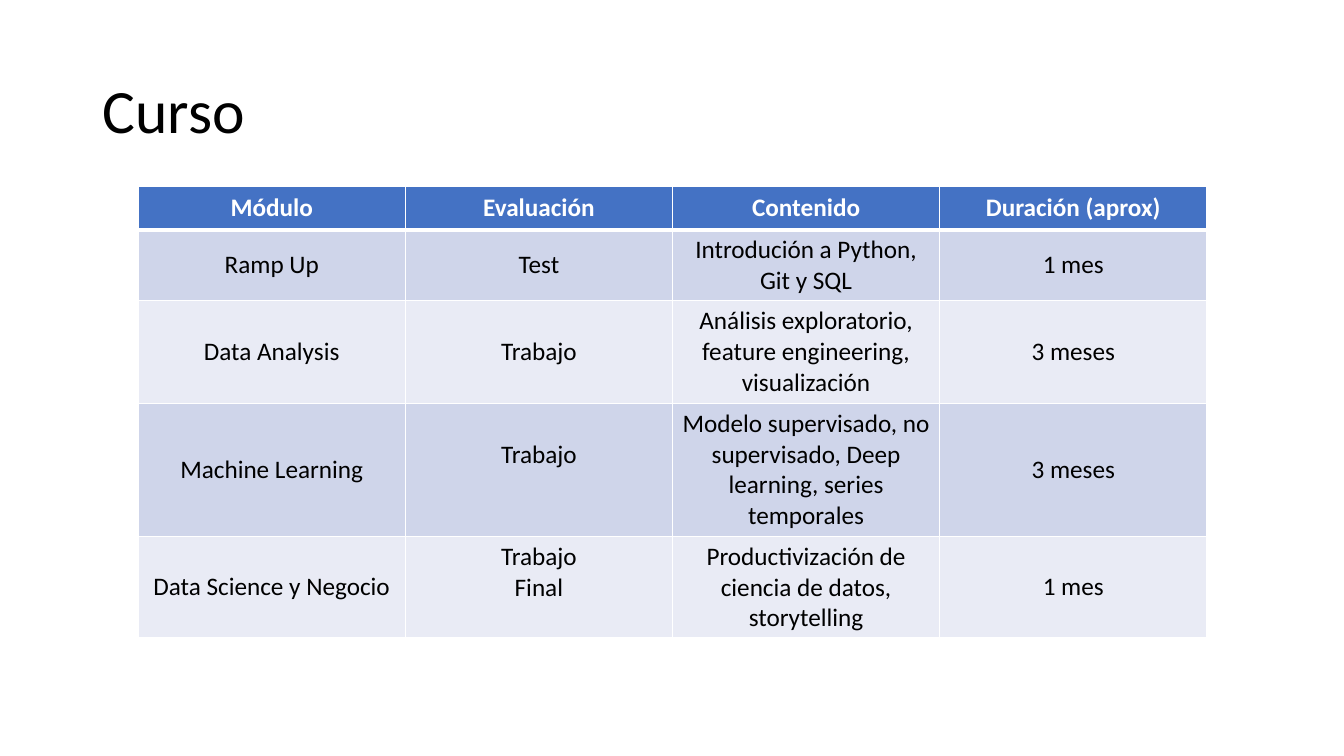
from dataclasses import dataclass

import pptx
import pptx.dml.color
import pptx.enum.text
import pptx.oxml
import pptx.oxml.ns
import pptx.util
from pptx.util import Inches


@dataclass(frozen=True)
class Theme:
    font: str = "Calibri"
    title_size: int = 44
    table_size: int = 18
    text: str = "000000"
    header_text: str = "FFFFFF"
    header_fill: str = "4472C4"
    band_fills: tuple = ("CFD5EA", "E9EBF5")
    border: str = "FFFFFF"
    border_width: int = 1
    header_border_width: int = 3


THEME = Theme()
ROWS = [
    ["Módulo", "Evaluación", "Contenido", "Duración (aprox)"],
    ["Ramp Up", "Test", "Introdución a Python, Git y SQL", "1 mes"],
    ["Data Analysis", "Trabajo",
     "Análisis exploratorio, feature engineering, visualización", "3 meses"],
    ["Machine Learning", "Trabajo",
     "Modelo supervisado, no supervisado, Deep learning, series temporales", "3 meses"],
    ["Data Science y Negocio", "Trabajo\nFinal",
     "Productivización de ciencia de datos, storytelling", "1 mes"],
]
ROW_HEIGHTS = [0.43, 0.7, 1.02, 1.32, 1.01]
RAISED_CELLS = {(3, 1), (4, 1)}
RAISED_MARGIN = 0.35


def style_font(font, size, color, bold=False):
    font.name = THEME.font
    font.size = pptx.util.Pt(size)
    font.bold = bold
    font.color.rgb = pptx.dml.color.RGBColor.from_string(color)


def add_borders(cell, top, bottom):
    properties = cell._tc.get_or_add_tcPr()
    widths = {"L": THEME.border_width, "R": THEME.border_width, "T": top, "B": bottom}
    for side, width in widths.items():
        properties.append(pptx.oxml.parse_xml(
            f'<a:ln{side} {pptx.oxml.ns.nsdecls("a")} w="{pptx.util.Pt(width)}">'
            f'<a:solidFill><a:srgbClr val="{THEME.border}"/></a:solidFill></a:ln{side}>'))


def add_title(slide, left, top, width, height):
    box = slide.shapes.add_textbox(Inches(left), Inches(top), Inches(width), Inches(height))
    frame = box.text_frame
    frame.word_wrap = True
    frame.vertical_anchor = pptx.enum.text.MSO_ANCHOR.MIDDLE
    frame.text = "Curso"
    paragraph = frame.paragraphs[0]
    paragraph.line_spacing = 0.9
    style_font(paragraph.runs[0].font, THEME.title_size, THEME.text)


def fill_cell(cell, text, row_index):
    is_header = row_index == 0
    thin, thick = THEME.border_width, THEME.header_border_width
    add_borders(cell, thick if row_index == 1 else thin, thick if is_header else thin)
    fill = THEME.header_fill if is_header else THEME.band_fills[(row_index - 1) % 2]
    cell.fill.solid()
    cell.fill.fore_color.rgb = pptx.dml.color.RGBColor.from_string(fill)
    cell.vertical_anchor = pptx.enum.text.MSO_ANCHOR.MIDDLE
    cell.text_frame.text = text
    color = THEME.header_text if is_header else THEME.text
    for paragraph in cell.text_frame.paragraphs:
        paragraph.alignment = pptx.enum.text.PP_ALIGN.CENTER
        for run in paragraph.runs:
            style_font(run.font, THEME.table_size, color, is_header)


def add_course_table(slide, left, top, width):
    column_count = len(ROWS[0])
    table = slide.shapes.add_table(
        len(ROWS), column_count, Inches(left), Inches(top),
        Inches(width), Inches(sum(ROW_HEIGHTS))).table
    for column in table.columns:
        column.width = Inches(width / column_count)
    for row_index, (texts, height) in enumerate(zip(ROWS, ROW_HEIGHTS)):
        table.rows[row_index].height = Inches(height)
        for column_index, text in enumerate(texts):
            cell = table.cell(row_index, column_index)
            fill_cell(cell, text, row_index)
            if (row_index, column_index) in RAISED_CELLS:
                cell.margin_bottom = Inches(RAISED_MARGIN)


def main():
    presentation = pptx.Presentation()
    presentation.slide_width = Inches(13.33)
    presentation.slide_height = Inches(7.5)
    slide = presentation.slides.add_slide(presentation.slide_layouts[6])
    add_title(slide, 0.92, 0.4, 11.5, 1.45)
    add_course_table(slide, 1.37, 1.85, 10.6)
    presentation.save("out.pptx")


if __name__ == "__main__":
    main()
